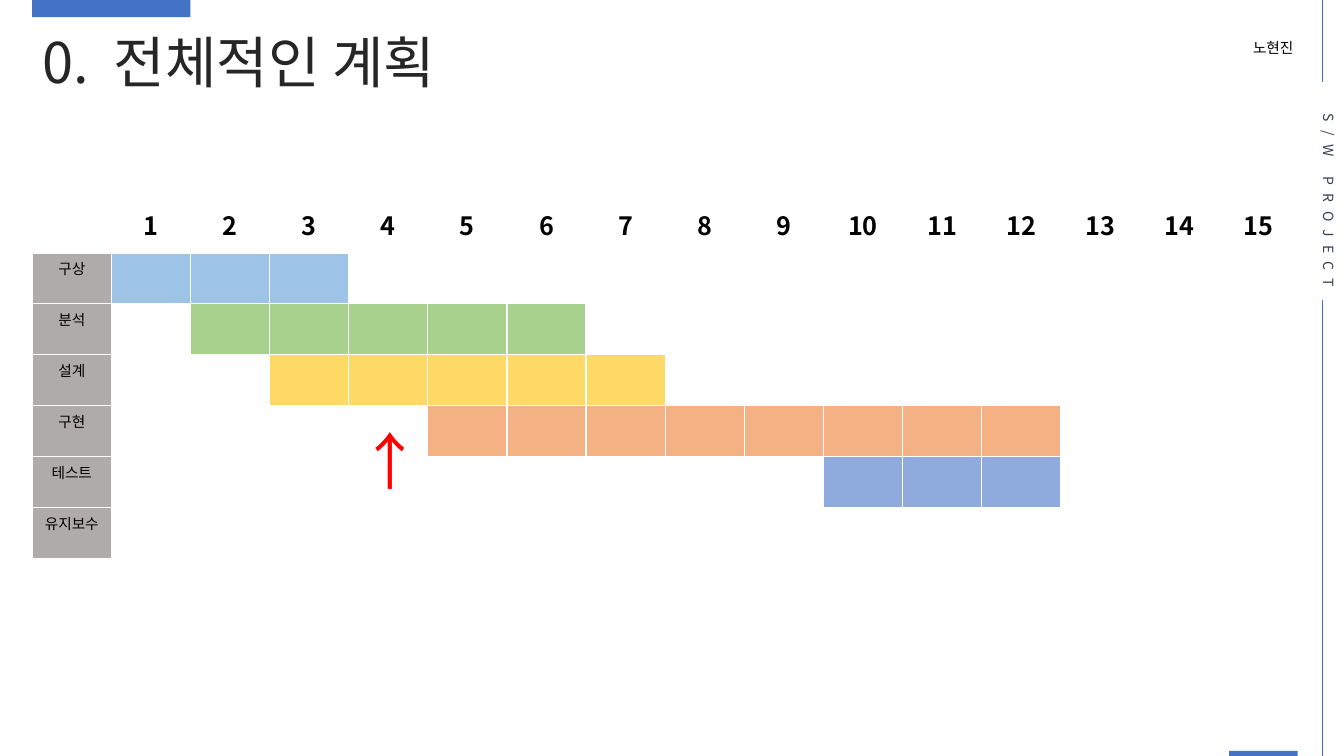
from lxml.etree import SubElement
from pptx import Presentation
from pptx.dml.color import RGBColor
from pptx.enum.shapes import MSO_CONNECTOR, MSO_SHAPE
from pptx.enum.text import MSO_AUTO_SIZE, PP_ALIGN
from pptx.oxml.ns import qn
from pptx.util import Inches, Pt

WEEKS = 15
TASKS = [
    ("구상", 1, 3, "9DC3E6"),
    ("분석", 2, 6, "A9D18E"),
    ("설계", 3, 7, "FFD966"),
    ("구현", 5, 12, "F4B183"),
    ("테스트", 10, 12, "8FAADC"),
    ("유지보수", 0, 0, "FFFFFF"),
]


def tint(code):
    return RGBColor.from_string(code)


def write(para, text, size=10.5, color="000000", bold=False, gap=0, face="Noto Sans CJK KR"):
    run = para.add_run()
    run.text = text
    font = run.font
    font.size, font.bold, font.name = Pt(size), bold, face
    font.color.rgb = tint(color)
    props = run._r.get_or_add_rPr()
    SubElement(props, qn("a:ea"), typeface=face)
    if gap:
        props.set("spc", str(gap * 100))


class Board:
    blue = "4472C4"
    white = "FFFFFF"
    gray = "AFABAB"

    def __init__(self, slide):
        self.slide = slide
        self.shapes = slide.shapes

    def bar(self, left, top, width, height):
        bar = self.shapes.add_shape(
            MSO_SHAPE.RECTANGLE, Inches(left), Inches(top), Inches(width), Inches(height))
        bar.shadow.inherit = False
        bar.fill.solid()
        bar.fill.fore_color.rgb = tint(self.blue)
        bar.line.fill.background()

    def rule(self, left, top, end):
        rule = self.shapes.add_connector(
            MSO_CONNECTOR.STRAIGHT, Inches(left), Inches(top), Inches(left), Inches(end))
        rule.line.color.rgb = tint(self.blue)
        rule.line.width = Pt(0.5)
        SubElement(rule._element.spPr, qn("a:effectLst"))

    def label(self, left, top, width, height, *parts, wrap=False, upright=False, **style):
        box = self.shapes.add_textbox(Inches(left), Inches(top), Inches(width), Inches(height))
        frame = box.text_frame
        frame.word_wrap = wrap
        frame.auto_size = MSO_AUTO_SIZE.SHAPE_TO_FIT_TEXT
        if upright:
            frame._txBody.bodyPr.set("vert", "eaVert")
        for text, gap in parts:
            write(frame.paragraphs[0], text, gap=gap, **style)

    def cell(self, cell, fill, text="", base=1, **style):
        props = cell._tc.get_or_add_tcPr()
        for side, width in zip("LRTB", (1, 1, 1, base)):
            edge = SubElement(props, qn("a:ln" + side), w=str(Pt(width)))
            paint = SubElement(edge, qn("a:solidFill"))
            SubElement(paint, qn("a:srgbClr"), val=self.white)
        cell.fill.solid()
        cell.fill.fore_color.rgb = tint(fill)
        if text:
            para = cell.text_frame.paragraphs[0]
            para.alignment = PP_ALIGN.CENTER
            write(para, text, **style)

    def chart(self, left, top, width, height):
        table = self.shapes.add_table(
            len(TASKS) + 1, WEEKS + 1,
            Inches(left), Inches(top), Inches(width), Inches(height)).table
        table.first_row = table.horz_banding = False
        for week in range(WEEKS + 1):
            self.cell(table.cell(0, week), self.white, str(week or ""), base=3, size=18, bold=True)
        for row, (name, start, end, color) in enumerate(TASKS, 1):
            self.cell(table.cell(row, 0), self.gray, name)
            for week in range(1, WEEKS + 1):
                fill = color if start <= week <= end else self.white
                self.cell(table.cell(row, week), fill)


def main():
    deck = Presentation()
    deck.slide_width, deck.slide_height = Inches(13.33), Inches(7.5)
    board = Board(deck.slides.add_slide(deck.slide_layouts[6]))
    board.bar(0.32, 0, 1.57, 0.17)
    board.bar(12.19, 7.45, 0.68, 0.05)
    board.label(0.32, 0.22, 4.4, 0.77, ("0.", 0), (" ", 9), ("전체적인 계획", 0),
                size=40, color="262626")
    board.rule(13.12, 2.98, 7.5)
    board.rule(13.12, 0, 0.81)
    board.label(12.94, 1.03, 0.37, 1.95, ("S/W PROJECT", 6), upright=True, size=10, color="333F50")
    board.label(12.33, 0.34, 0.68, 0.29, ("노현진", 0), wrap=True)
    board.chart(0.32, 2, 12.56, 3.54)
    board.label(3.47, 4.15, 0.46, 0.84, ("↑", 0), wrap=True, size=44, color="FF0000")
    deck.save("out.pptx")


if __name__ == "__main__":
    main()
